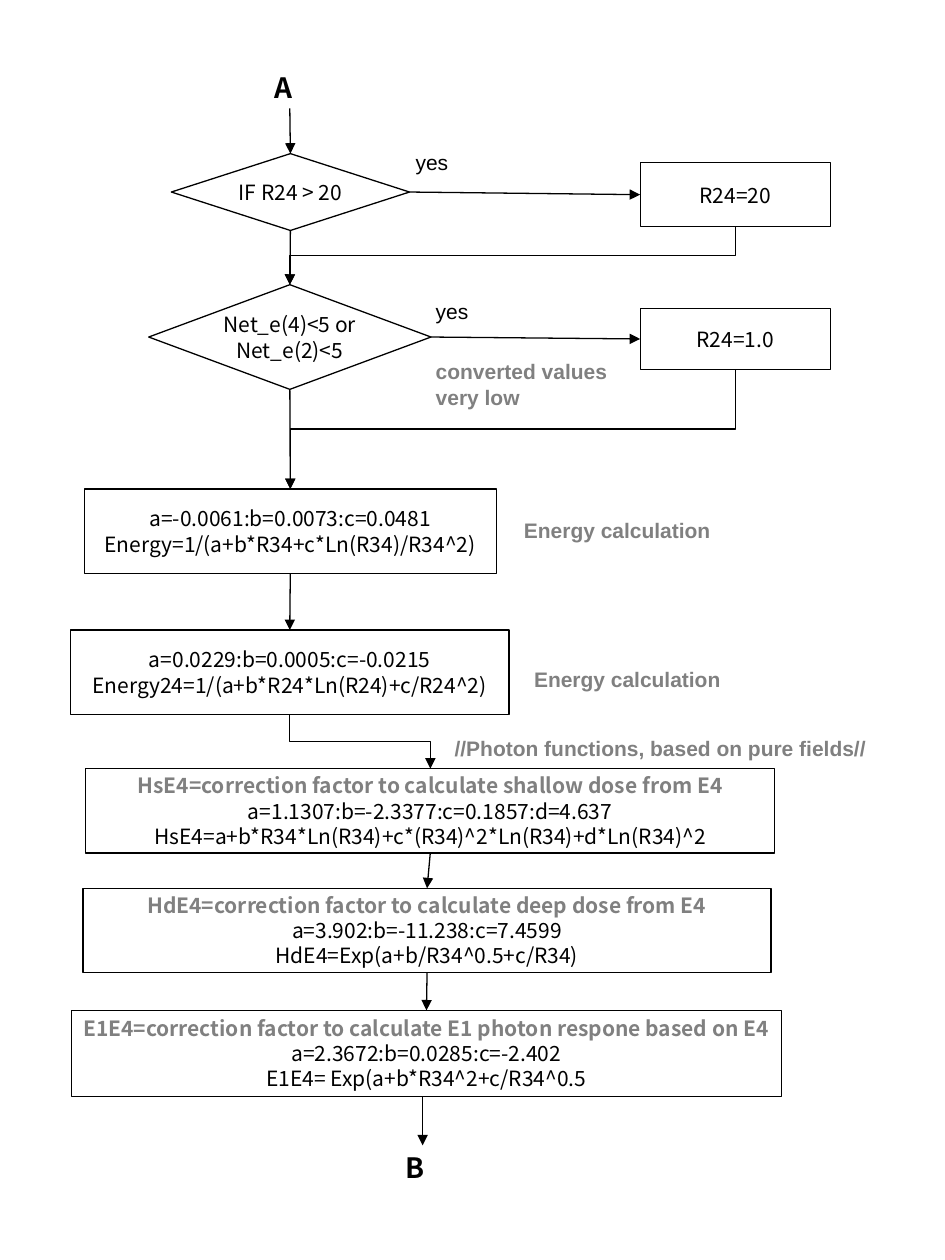
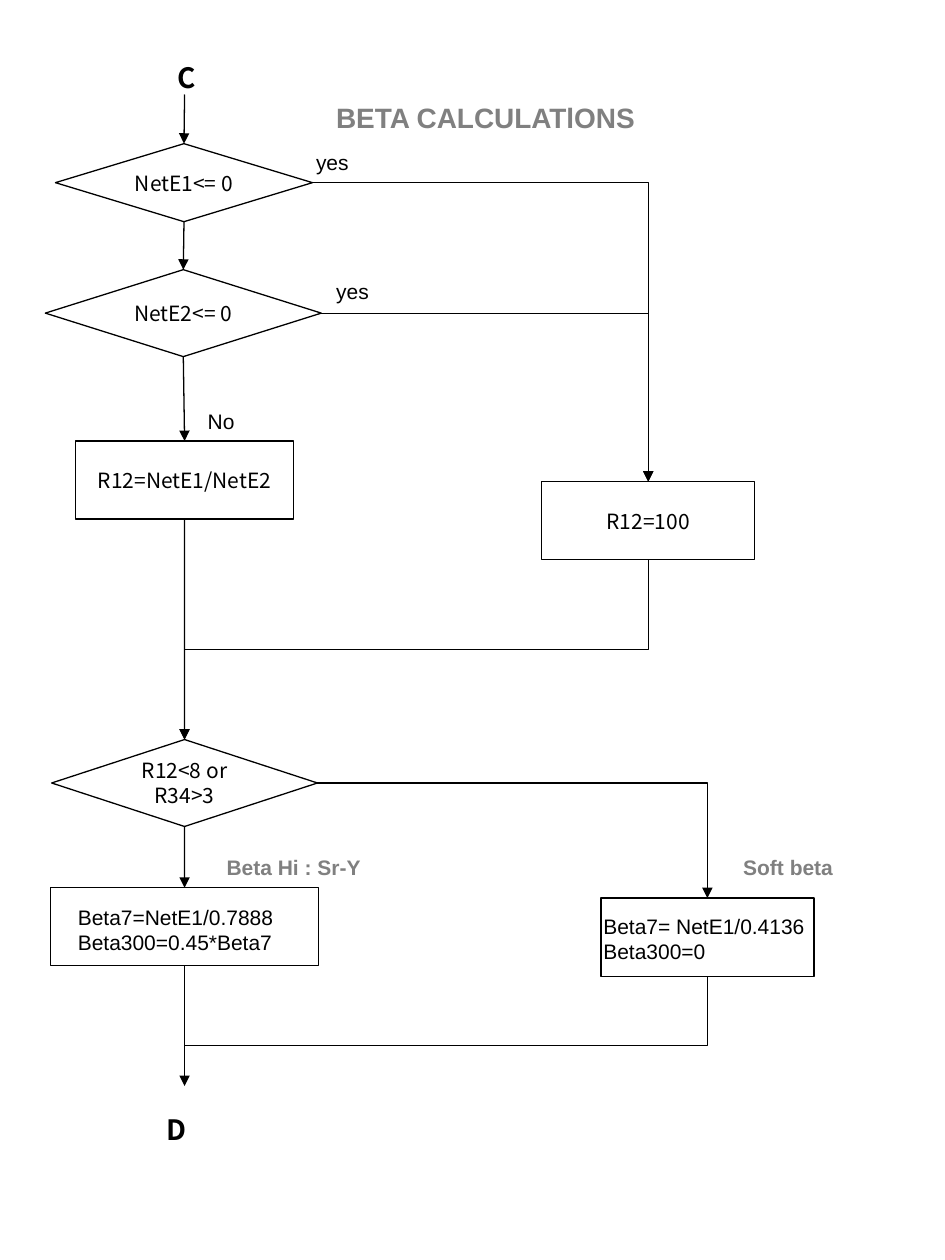
from dataclasses import dataclass
from typing import NamedTuple, Union

from lxml import etree
from pptx import Presentation
from pptx.dml.color import RGBColor
from pptx.enum.shapes import MSO_CONNECTOR, MSO_SHAPE
from pptx.enum.text import MSO_ANCHOR, MSO_AUTO_SIZE, PP_ALIGN
from pptx.oxml.ns import qn
from pptx.util import Pt

PROCESS = MSO_SHAPE.FLOWCHART_PROCESS
DECISION = MSO_SHAPE.FLOWCHART_DECISION
STRAIGHT, ELBOW = MSO_CONNECTOR.STRAIGHT, MSO_CONNECTOR.ELBOW
LEFT, CENTER = PP_ALIGN.LEFT, PP_ALIGN.CENTER
TOP_SIDE, BOTTOM_SIDE, RIGHT_SIDE = 0, 2, 3

COLORS = {"ink": "000000", "note": "808080"}
FLOW_FONT, NOTE_FONT = "Noto Sans CJK KR", "Arial"
LINE_WIDTH = Pt(0.75)


@dataclass
class Node:
    name: str
    left: float
    top: float
    width: float
    height: float
    text: str = ""
    kind: MSO_SHAPE = PROCESS
    heading: bool = False


@dataclass
class Label:
    text: str
    left: float
    top: float
    width: float
    height: float = 21.6
    size: float = 12
    font: str = NOTE_FONT
    color: str = "ink"
    bold: bool = False
    align: PP_ALIGN = LEFT
    space: float = 7.5


class Joint(NamedTuple):
    node: str
    side: int


class Spot(NamedTuple):
    x: float
    y: float


End = Union[Joint, Spot]


@dataclass
class Link:
    start: End
    end: End
    elbow: bool = False
    arrow: bool = True


@dataclass
class Chart:
    nodes: list
    links: list
    labels: list


def note(text: str, left: float, top: float, width: float, height: float = 21.6) -> Label:
    return Label(text, left, top, width, height, color="note", bold=True)


def answer(text: str, left: float, top: float) -> Label:
    return Label(text, left, top, 39.6)


def marker(letter: str, left: float, top: float) -> Label:
    """Large letter where the flow enters or leaves the page."""
    return Label(letter, left, top, 47, 26.6, 16, FLOW_FONT, bold=True, align=CENTER, space=10)


def down(upper: str, lower: str, elbow: bool = False) -> Link:
    return Link(Joint(upper, BOTTOM_SIDE), Joint(lower, TOP_SIDE), elbow)


def across(source: str, target: str) -> Link:
    return Link(Joint(source, RIGHT_SIDE), Joint(target, 1))


def over(source: str, target: str) -> Link:
    """Elbow that leaves to the right and drops onto the target."""
    return Link(Joint(source, RIGHT_SIDE), Joint(target, TOP_SIDE), elbow=True)


PHOTON = Chart(
    nodes=[
        Node("cap", 365.8, 92.9, 108.7, 36.7, "R24=20"),
        Node("low counts", 85, 162.7, 161.3, 59.8, "Net_e(4)<5 or\nNet_e(2)<5", DECISION),
        Node("reset", 365.8, 176.4, 108.7, 34.6, "R24=1.0"),
        Node("energy", 48.2, 279.4, 235.4, 48.2,
             "a=-0.0061:b=0.0073:c=0.0481\nEnergy=1/(a+b*R34+c*Ln(R34)/R34^2)"),
        Node("energy24", 40.3, 360, 250.6, 48.2,
             "a=0.0229:b=0.0005:c=-0.0215\nEnergy24=1/(a+b*R24*Ln(R24)+c/R24^2)"),
        Node("shallow", 49, 439.2, 393.8, 48.2,
             "HsE4=correction factor to calculate shallow dose from E4\n"
             "a=1.1307:b=-2.3377:c=0.1857:d=4.637\n"
             "HsE4=a+b*R34*Ln(R34)+c*(R34)^2*Ln(R34)+d*Ln(R34)^2", heading=True),
        Node("deep", 47.5, 507.6, 393.1, 48.2,
             "HdE4=correction factor to calculate deep dose from E4\n"
             "a=3.902:b=-11.238:c=7.4599\nHdE4=Exp(a+b/R34^0.5+c/R34)", heading=True),
        Node("response", 41, 577.4, 405.4, 49,
             "E1E4=correction factor to calculate E1 photon respone based on E4\n"
             "a=2.3672:b=0.0285:c=-2.402\nE1E4= Exp(a+b*R34^2+c/R34^0.5", heading=True),
        Node("high ratio", 97.9, 87.8, 136.1, 43.9, "IF R24 > 20", DECISION),
    ],
    links=[
        Link(Spot(165.6, 62), Joint("high ratio", TOP_SIDE)),
        across("high ratio", "cap"),
        across("low counts", "reset"),
        down("high ratio", "low counts"),
        down("cap", "low counts", elbow=True),
        down("low counts", "energy"),
        down("reset", "energy", elbow=True),
        down("energy", "energy24"),
        down("energy24", "shallow", elbow=True),
        down("shallow", "deep"),
        down("deep", "response"),
        Link(Spot(241.5, 626.4), Spot(241.5, 654.5)),
    ],
    labels=[
        marker("A", 138.5, 36.7),
        marker("B", 213.7, 653.8),
        note("converted values very low", 241.9, 201.6, 118.8, 36),
        note("Energy calculation", 292.3, 292.3, 136.1),
        note("Energy calculation", 298.1, 377.3, 136.1),
        note("//Photon functions, based on pure fields//", 252.7, 416.9, 266.4),
        answer("yes", 230.4, 82.1),
        answer("yes", 241.9, 167),
    ],
)

BETA = Chart(
    nodes=[
        Node("no E1", 31.7, 82.1, 146.9, 44.6, "NetE1<= 0", DECISION),
        Node("no E2", 25.9, 154.1, 157.7, 49.7, "NetE2<= 0", DECISION),
        Node("ratio", 43.2, 252, 124.6, 44.6, "R12=NetE1/NetE2"),
        Node("beta type", 29.5, 422.6, 151.9, 49.7, "R12<8 or\nR34>3", DECISION),
        Node("default", 309.6, 275.2, 121.7, 44.6, "R12=100"),
        Node("hard", 28.8, 507.3, 153.4, 44.6),
        Node("soft", 343.4, 513.2, 121.7, 44.6),
    ],
    links=[
        Link(Spot(105.5, 54), Joint("no E1", TOP_SIDE)),
        down("no E1", "no E2"),
        down("no E2", "ratio"),
        down("ratio", "beta type"),
        over("no E1", "default"),
        over("no E2", "default"),
        down("default", "beta type", elbow=True),
        down("beta type", "hard"),
        Link(Joint("soft", BOTTOM_SIDE), Spot(105.5, 597.6), elbow=True, arrow=False),
        over("beta type", "soft"),
        Link(Joint("hard", BOTTOM_SIDE), Spot(105.5, 620.6)),
    ],
    labels=[
        marker("C", 83.3, 31),
        marker("D", 77.5, 632.2),
        Label("BETA CALCULATlONS", 185, 54, 226.8, 26.6, 16, color="note", bold=True, space=10),
        Label("Beta7=NetE1/0.7888\nBeta300=0.45*Beta7", 37.4, 513.4, 136.1, 36, space=0),
        Label("Beta7= NetE1/0.4136\nBeta300=0", 337.7, 518.6, 136.1, 36, space=0),
        note("Beta Hi : Sr-Y", 122.4, 484.6, 107.3),
        note("Soft beta", 417.6, 484.6, 73.4),
        answer("yes", 173.5, 82.1),
        answer("yes", 185, 155.5),
        answer("No", 111.6, 229.7),
    ],
)


def write(frame, text: str, *, size: float = 12, font: str = FLOW_FONT, color: str = "ink",
          bold: bool = False, align: PP_ALIGN = CENTER, space: float = 0,
          heading: bool = False) -> None:
    """Fill a text frame, one paragraph a line; a heading is a bold grey first line."""
    for index, line in enumerate(text.split("\n")):
        para = frame.paragraphs[0] if index == 0 else frame.add_paragraph()
        is_heading = heading and index == 0
        para.alignment = align
        para.space_before = Pt(space)
        span = para.add_run()
        span.text = line
        span.font.size = Pt(size)
        span.font.name = font
        span.font.bold = bold or is_heading
        span.font.color.rgb = RGBColor.from_string(COLORS["note" if is_heading else color])


def draw_node(page, node: Node):
    box = page.shapes.add_shape(node.kind, Pt(node.left), Pt(node.top),
                                Pt(node.width), Pt(node.height))
    box.shadow.inherit = False
    box.fill.background()
    box.line.color.rgb = RGBColor.from_string(COLORS["ink"])
    box.line.width = LINE_WIDTH
    if node.text:
        frame = box.text_frame
        frame.word_wrap = False
        frame.vertical_anchor = MSO_ANCHOR.MIDDLE
        write(frame, node.text, heading=node.heading)
    return box


def draw_label(page, label: Label) -> None:
    box = page.shapes.add_textbox(Pt(label.left), Pt(label.top),
                                  Pt(label.width), Pt(label.height))
    frame = box.text_frame
    frame.word_wrap = True
    frame.auto_size = MSO_AUTO_SIZE.SHAPE_TO_FIT_TEXT
    write(frame, label.text, size=label.size, font=label.font, color=label.color,
          bold=label.bold, align=label.align, space=label.space)


def locate(end: End, boxes: dict) -> tuple:
    """Return the slide position of a link's end."""
    if isinstance(end, Spot):
        return Pt(end.x), Pt(end.y)
    box = boxes[end.node]
    across_part, down_part = ((1, 0), (0, 1), (1, 2), (2, 1))[end.side]
    return box.left + box.width * across_part // 2, box.top + box.height * down_part // 2


def bend(connector, link: Link, start: tuple, end: tuple) -> None:
    """Turn an elbow so that it leaves in the direction of its starting side."""
    (x1, y1), (x2, y2) = start, end
    width, height = abs(x2 - x1), abs(y2 - y1)
    leaves_down = link.start.side == BOTTOM_SIDE
    mirrored = leaves_down and x2 > x1
    if leaves_down:
        width, height = height, width
        connector.rotation = 270 if mirrored else 90
    connector.left, connector.top = (x1 + x2 - width) // 2, (y1 + y2 - height) // 2
    connector.width, connector.height = width, height
    xfrm = connector.element.spPr.find(qn("a:xfrm"))
    xfrm.set("flipH", "1" if mirrored else "0")
    xfrm.set("flipV", "0")
    one_corner = not leaves_down or isinstance(link.end, Spot)
    if one_corner:
        connector.element.spPr.find(qn("a:prstGeom")).set("prst", "bentConnector2")


def draw_link(page, link: Link, boxes: dict) -> None:
    start, end = locate(link.start, boxes), locate(link.end, boxes)
    connector = page.shapes.add_connector(ELBOW if link.elbow else STRAIGHT, *start, *end)
    if isinstance(link.start, Joint):
        connector.begin_connect(boxes[link.start.node], link.start.side)
    if isinstance(link.end, Joint):
        connector.end_connect(boxes[link.end.node], link.end.side)
    if link.elbow:
        bend(connector, link, start, end)
    connector.line.color.rgb = RGBColor.from_string(COLORS["ink"])
    connector.line.width = LINE_WIDTH
    properties = connector.element.spPr
    if link.arrow:
        etree.SubElement(properties.find(qn("a:ln")), qn("a:tailEnd"), type="triangle")
    etree.SubElement(properties, qn("a:effectLst"))


def draw_chart(deck, chart: Chart) -> None:
    page = deck.slides.add_slide(deck.slide_layouts[6])
    boxes = {node.name: draw_node(page, node) for node in chart.nodes}
    for link in chart.links:
        draw_link(page, link, boxes)
    for label in chart.labels:
        draw_label(page, label)


def main() -> None:
    deck = Presentation()
    deck.slide_width, deck.slide_height = Pt(540), Pt(720)
    for chart in (PHOTON, BETA):
        draw_chart(deck, chart)
    deck.save("out.pptx")


if __name__ == "__main__":
    main()
